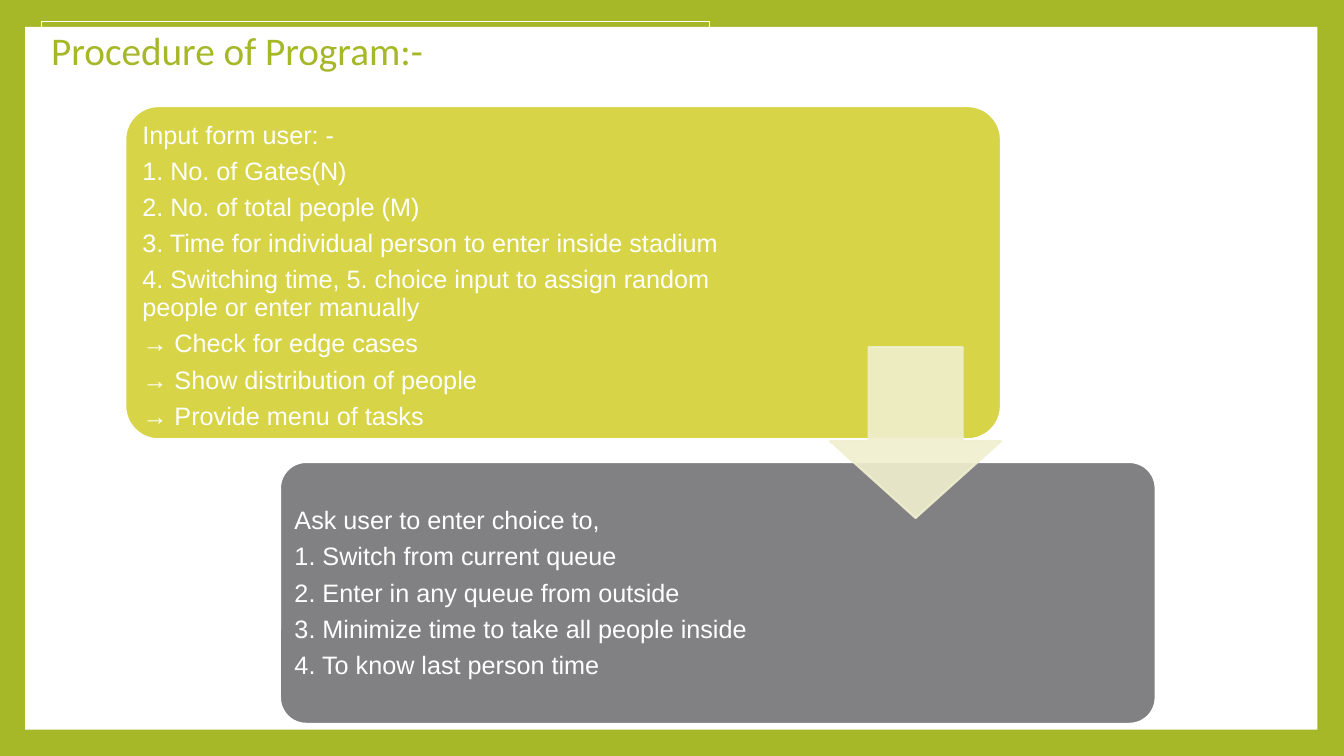
from pptx import Presentation
from pptx.dml.color import RGBColor
from pptx.enum.shapes import MSO_SHAPE as SHAPE
from pptx.enum.text import MSO_ANCHOR as ANCHOR, PP_ALIGN as ALIGN
from pptx.oxml.ns import qn
from pptx.util import Pt
from lxml import etree

GREEN, WHITE, LIME, GREY, CREAM = "A6B727", "FFFFFF", "D7D447", "818183", "F0EFCF"

INPUT_STEPS = [
    "Input form user: -",
    "1. No. of Gates(N)",
    "2. No. of total people (M)",
    "3. Time for individual person to enter inside stadium",
    "4. Switching time, 5. choice input to assign random people or enter manually",
    "→ Check for edge cases",
    "→ Show distribution of people",
    "→ Provide menu of tasks",
]
CHOICE_STEPS = [
    "Ask user to enter choice to,",
    "1. Switch from current queue",
    "2. Enter in any queue from outside",
    "3. Minimize time to take all people inside",
    "4. To know last person time",
]


def color(hex_code):
    return RGBColor.from_string(hex_code)


def add_box(slide, kind, box, fill=None, line=None, width=1.5, adjust=()):
    s = slide.shapes.add_shape(kind, *map(Pt, box))
    s.shadow.inherit = False
    for i, value in enumerate(adjust):
        s.adjustments[i] = value
    if fill:
        s.fill.solid()
        s.fill.fore_color.rgb = color(fill)
    else:
        s.fill.background()
    if line:
        s.line.color.rgb = color(line)
        s.line.width = Pt(width)
    else:
        s.line.fill.background()
    return s


def add_run(p, text, size, font, hex_code):
    r = p.add_run()
    r.text = text
    r.font.size = Pt(size)
    r.font.name = font
    r.font.color.rgb = color(hex_code)


def add_title(slide, box, text):
    s = add_box(slide, SHAPE.RECTANGLE, box, line=WHITE, width=0.75)
    tf = s.text_frame
    tf.vertical_anchor = ANCHOR.TOP
    p = tf.paragraphs[0]
    p.alignment = ALIGN.LEFT
    add_run(p, text, 28, "Calibri", GREEN)


def add_step(slide, box, fill, lines, pad, text_top, text_width):
    """Rounded panel with its list; pad and text_top are offsets inside it."""
    left, top, _, height = box
    add_box(slide, SHAPE.ROUNDED_RECTANGLE, box, fill, WHITE, adjust=[0.1])
    s = slide.shapes.add_textbox(Pt(left + pad), Pt(top + text_top),
                                 Pt(text_width), Pt(height - text_top - pad))
    tf = s.text_frame
    tf.word_wrap = True
    tf.margin_left = tf.margin_right = Pt(5)
    tf.margin_top = tf.margin_bottom = 0
    for i, line in enumerate(lines):
        p = tf.add_paragraph() if i else tf.paragraphs[0]
        p.line_spacing = Pt(20)
        p.space_after = Pt(5.8)
        add_run(p, line, 18, "Arial", WHITE)


def add_flow_arrow(slide, box):
    s = add_box(slide, SHAPE.DOWN_ARROW, box, CREAM, CREAM, adjust=[0.55, 0.45])
    for clr in s.element.spPr.iter(qn("a:srgbClr")):
        etree.SubElement(clr, qn("a:alpha")).set("val", "90000")


def build_procedure_slide(prs):
    slide = prs.slides.add_slide(prs.slide_layouts[6])
    slide.background.fill.solid()
    slide.background.fill.fore_color.rgb = color(GREEN)
    add_box(slide, SHAPE.RECTANGLE, (18, 19.2, 923, 502), WHITE)
    add_step(slide, (89.5, 75.8, 625.5, 238), LIME, INPUT_STEPS, 7.2, 10.8, 429)
    add_step(slide, (200, 330, 625.5, 187), GREY, CHOICE_STEPS, 5.4, 32, 382)
    add_flow_arrow(slide, (593, 248, 122, 122))
    add_title(slide, (29.5, 15.2, 477.5, 41), "Procedure of Program:-")


def main():
    prs = Presentation()
    prs.slide_width, prs.slide_height = Pt(960), Pt(540)
    build_procedure_slide(prs)
    prs.save("out.pptx")


if __name__ == "__main__":
    main()
